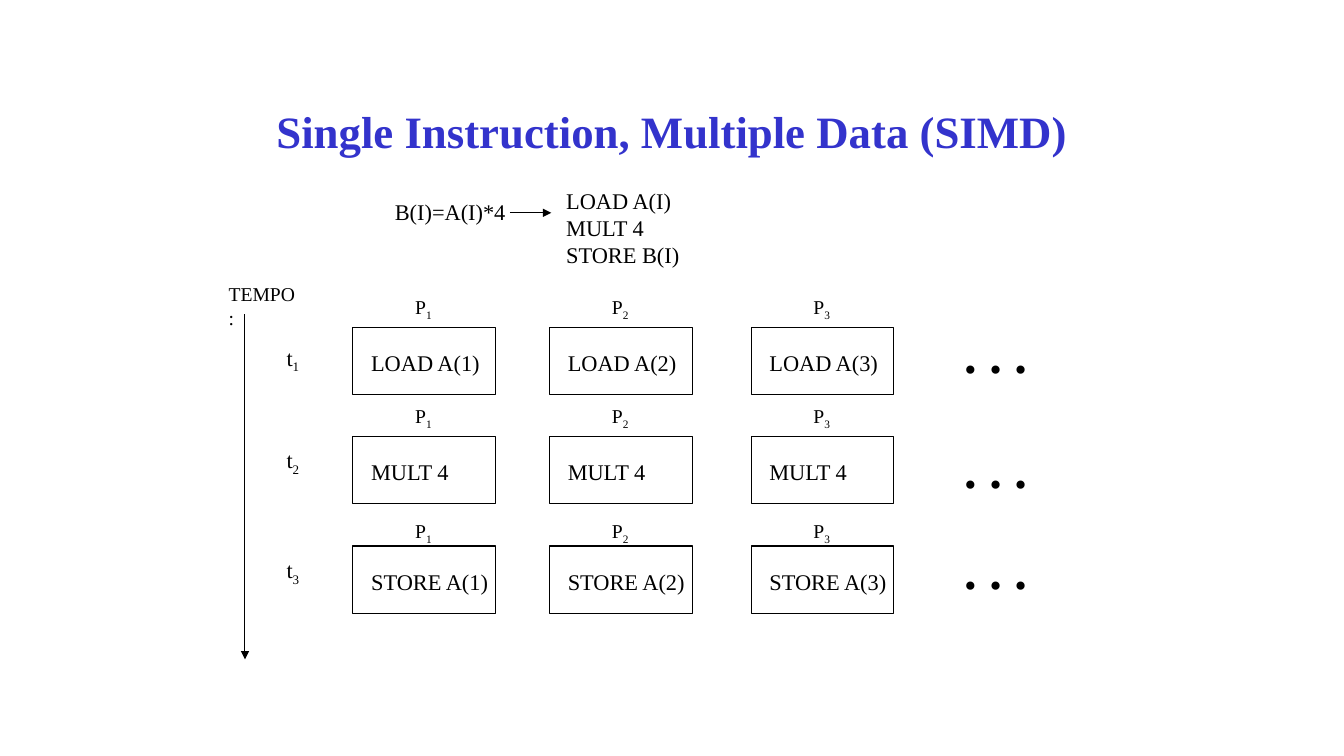
from lxml import etree
from pptx import Presentation
from pptx.dml.color import RGBColor
from pptx.enum.shapes import MSO_CONNECTOR as CONN, MSO_SHAPE as SHAPE
from pptx.enum.text import MSO_ANCHOR as ANCHOR, MSO_AUTO_SIZE as AUTO, PP_ALIGN as ALIGN
from pptx.oxml.ns import qn
from pptx.util import Pt

FONT = "Times New Roman"
BLACK, BLUE = "000000", "3333CC"

COLUMN_X = (252, 392.5, 536.5)
BOX_TOP, BOX_STEP, BOX_W, BOX_H = 234, 78, 102, 48
# One row per time step: instruction, its width, tops of the t label, P labels and dots
ROWS = (
    ("LOAD A({})", 93, 242, 207.2, 227),
    ("MULT 4", 72, 315.4, 285.2, 309.6),
    ("STORE A({})", 99.4, 393.8, 367.2, 381.6),
)


def color(value):
    return RGBColor.from_string(value)


def add_text(s, text, x, y, w, h, size=16, fill=BLACK, bold=False, sub=None,
             align=ALIGN.LEFT, anchor=ANCHOR.TOP, wrap=False):
    """Add a text box with one paragraph per line and an optional subscript at the end."""
    tf = s.shapes.add_textbox(Pt(x), Pt(y), Pt(w), Pt(h)).text_frame
    tf.word_wrap = wrap
    tf.auto_size = AUTO.NONE if wrap else AUTO.SHAPE_TO_FIT_TEXT
    tf.vertical_anchor = anchor
    for i, line in enumerate(text.split("\n")):
        p = tf.add_paragraph() if i else tf.paragraphs[0]
        p.alignment = align
        for part in (line, sub):
            if part is None:
                continue
            r = p.add_run()
            r.text = part
            r.font.name, r.font.size, r.font.bold = FONT, Pt(size), bold
            r.font.color.rgb = color(fill)
            if part is sub:
                r._r.get_or_add_rPr().set("baseline", "-25000")


def add_box(s, x, y):
    sp = s.shapes.add_shape(SHAPE.RECTANGLE, Pt(x), Pt(y), Pt(BOX_W), Pt(BOX_H))
    sp.shadow.inherit = False
    sp.fill.background()
    sp.line.color.rgb = color(BLACK)
    sp.line.width = Pt(0.75)


def add_arrow(s, x1, y1, x2, y2):
    c = s.shapes.add_connector(CONN.STRAIGHT, Pt(x1), Pt(y1), Pt(x2), Pt(y2))
    c.line.color.rgb = color(BLACK)
    c.line.width = Pt(0.75)
    etree.SubElement(c.line._get_or_add_ln(), qn("a:tailEnd"), type="triangle")
    etree.SubElement(c._element.spPr, qn("a:effectLst"))


def add_time_step(s, row, instruction, text_w, time_y, label_y, dots_y):
    """Add one row: its time label, the box of each processor, and the dots."""
    y = BOX_TOP + row * BOX_STEP
    add_text(s, "t", 197.6, time_y, 24.5, 26.6, sub=str(row + 1))
    for n, x in enumerate(COLUMN_X, 1):
        add_box(s, x, y)
        add_text(s, instruction.format(n), x + 6, y + 12, text_w, 26.6)
        add_text(s, " P", x + 34, label_y, 31, 24.5, size=14, sub=str(n))
    add_text(s, ". . .", 681.6, dots_y, 59.8, 50.4, size=36, bold=True)


def main():
    prs = Presentation()
    prs.slide_width, prs.slide_height = Pt(960), Pt(540)
    s = prs.slides.add_slide(prs.slide_layouts[6])

    add_text(s, "Single Instruction, Multiple Data (SIMD)", 72, 48, 816, 90, size=32,
             fill=BLUE, bold=True, align=ALIGN.CENTER, anchor=ANCHOR.MIDDLE, wrap=True)
    add_text(s, "B(I)=A(I)*4", 275, 138.2, 93.6, 26.6)
    add_text(s, "LOAD A(I)\nMULT 4\nSTORE B(I)", 397.4, 130.3, 95.8, 64.8)
    add_arrow(s, 364.3, 152, 393.8, 152)
    add_arrow(s, 175, 224.6, 175, 471)
    add_text(s, "TEMPO:", 156.2, 198, 65.5, 23.8, size=14)
    for row, step in enumerate(ROWS):
        add_time_step(s, row, *step)

    prs.save("out.pptx")


if __name__ == "__main__":
    main()
